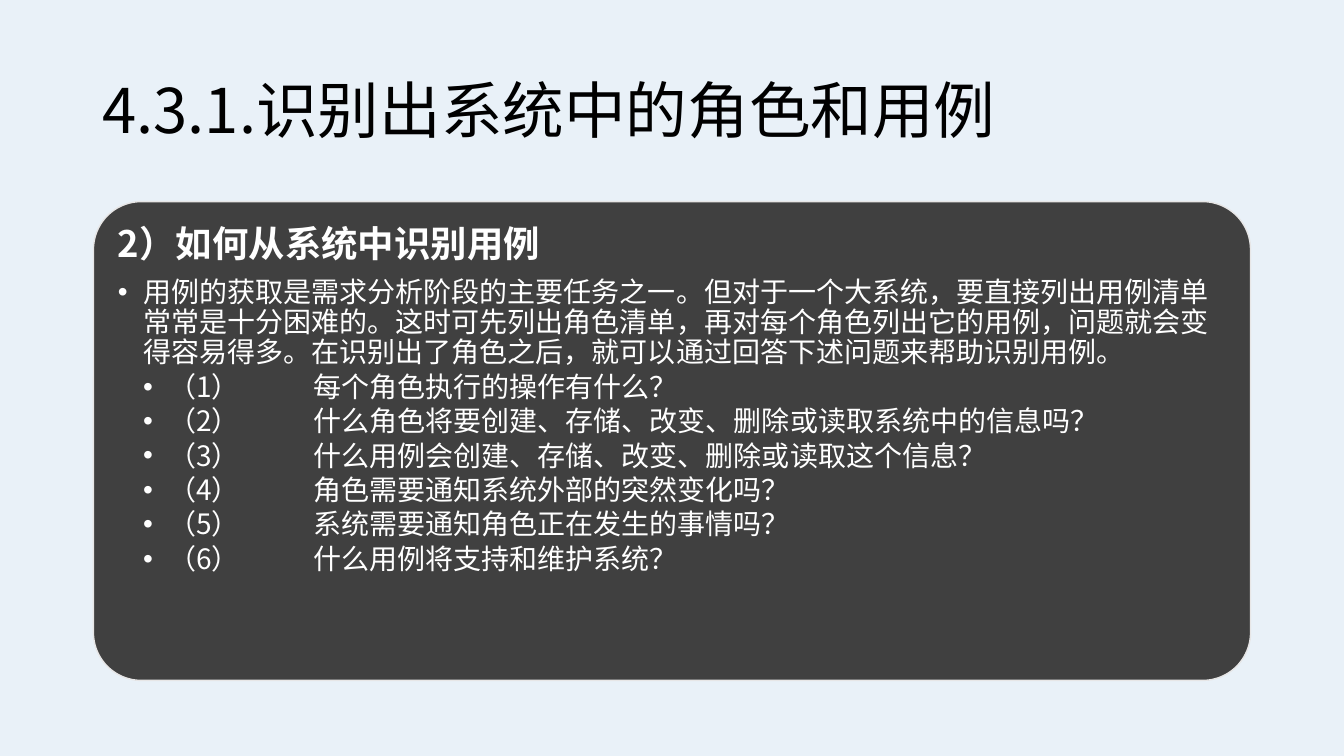
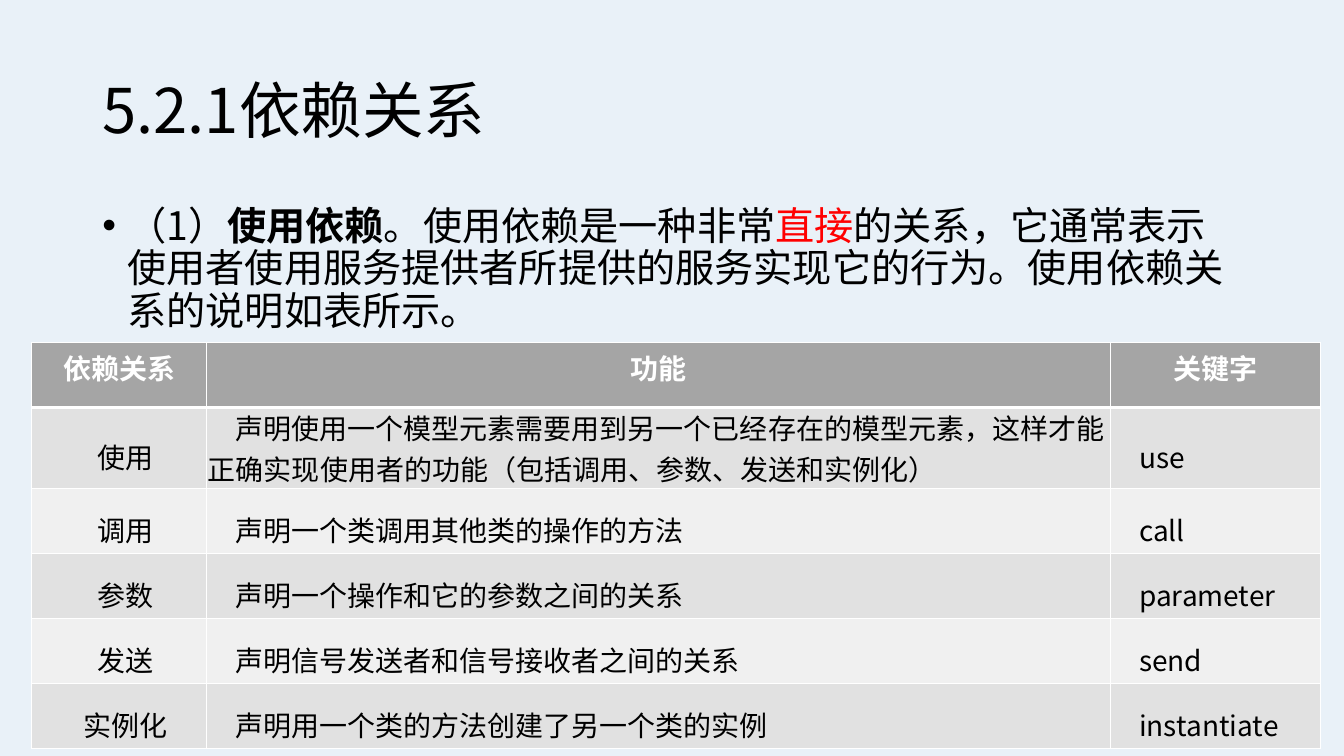
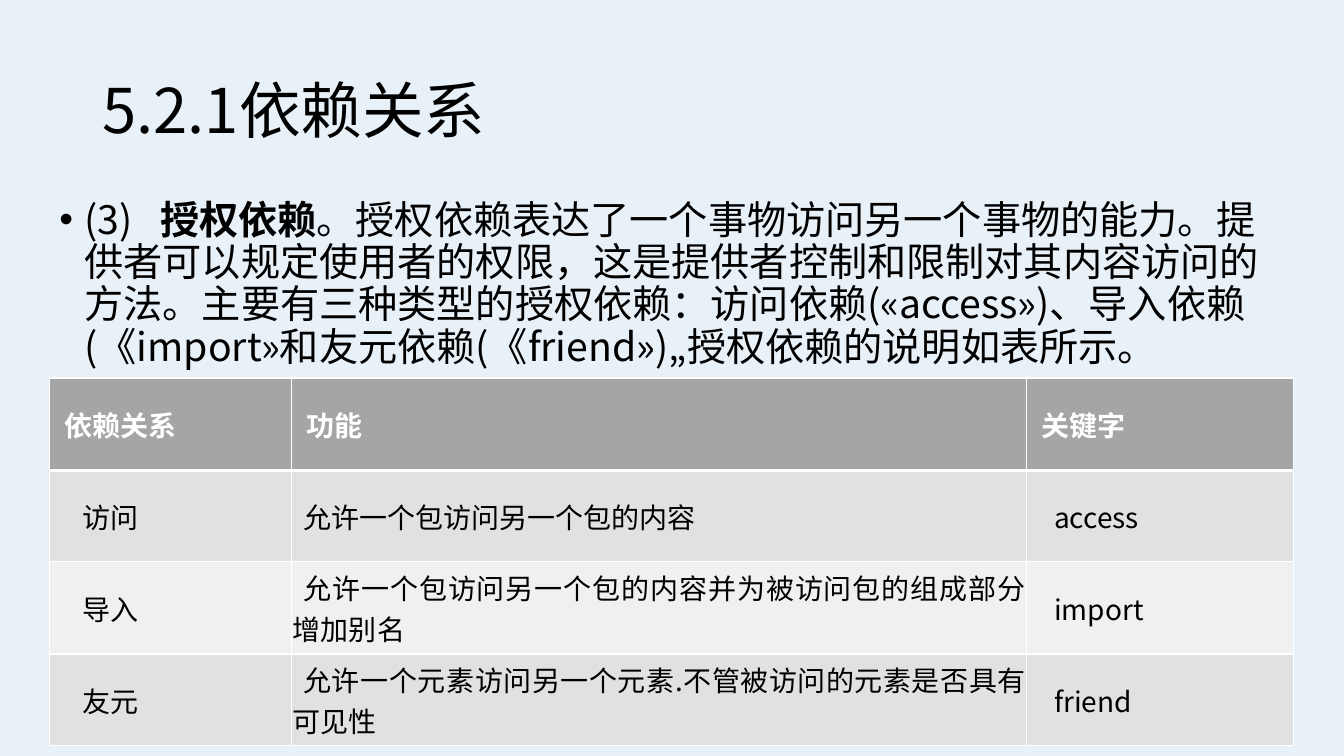
"""Builds three slides on use cases and dependency relations."""
from dataclasses import dataclass

from lxml import etree
from pptx import Presentation
from pptx import util as u
from pptx.dml.color import RGBColor
from pptx.enum import shapes, text
from pptx.oxml import ns

PX = 9525
FACE = "Noto Sans CJK SC"
TIGHT = 0.9
SKY = RGBColor(0xE9, 0xF1, 0xF8)
BLACK = RGBColor(0, 0, 0)
WHITE = RGBColor(255, 255, 255)
RED = RGBColor(255, 0, 0)
DARK = RGBColor(0x40, 0x40, 0x40)
EDGE = RGBColor(0xE7, 0xE6, 0xE6)
HEAD = RGBColor(0xA5, 0xA5, 0xA5)
BANDS = (RGBColor(0xE1, 0xE1, 0xE1), RGBColor(0xF0, 0xF0, 0xF0))
LEFT, MID, FULL = text.PP_ALIGN.LEFT, text.PP_ALIGN.CENTER, text.PP_ALIGN.JUSTIFY


@dataclass
class Run:
    text: str
    bold: bool = False
    color: RGBColor = BLACK


@dataclass
class Para:
    runs: list[Run]
    size: int
    lines: float = 1.0
    after: int = 0
    left: int = 0
    first: int = 0
    bullet: bool = False
    tab: int = 0
    align: text.PP_ALIGN = LEFT


@dataclass
class Col:
    width: int
    first: int
    align: text.PP_ALIGN = LEFT


@dataclass
class Grid:
    left: int
    top: int
    heights: list[int]
    cols: list[Col]
    rows: list[tuple[str, str, str]]
    lines: float
    head: Col
    flush: bool


def px(n: int) -> u.Emu:
    """Turn px into EMU."""
    return u.Emu(n * PX)


def add(node, tag: str, **attrs: str):
    """Append a drawing element to a node."""
    return etree.SubElement(node, ns.qn(tag), attrs)


def write(frame, paras: list[Para]) -> None:
    """Fill a text frame with paragraphs."""
    frame.word_wrap = True
    for i, item in enumerate(paras):
        para = frame.paragraphs[0] if i == 0 else frame.add_paragraph()
        props = para._p.get_or_add_pPr()
        props.set("marL", str(px(item.left)))
        props.set("indent", str(px(item.first)))
        if item.bullet:
            add(props, "a:buFont", typeface="Arial")
            add(props, "a:buChar", char="•")
        if item.tab:
            stops = add(props, "a:tabLst")
            add(stops, "a:tab", pos=str(px(item.tab)), algn="l")
        para.alignment = item.align
        para.line_spacing = item.lines
        para.space_after = u.Pt(item.after)
        for part in item.runs:
            run = para.add_run()
            run.text = part.text
            run.font.size = u.Pt(item.size)
            run.font.bold = part.bold
            run.font.color.rgb = part.color
            run.font.name = FACE
            add(run._r.get_or_add_rPr(), "a:ea", typeface=FACE)


def box(slide, left: int, top: int, width: int, height: int, paras: list[Para]):
    """Add a text box and return its frame."""
    frame = slide.shapes.add_textbox(*map(px, (left, top, width, height))).text_frame
    write(frame, paras)
    return frame


def start(deck, title: str):
    """Add a blank slide with its title."""
    slide = deck.slides.add_slide(deck.slide_layouts[6])
    frame = box(slide, 88, 39, 1104, 139, [Para([Run(title)], 44, TIGHT)])
    frame.vertical_anchor = text.MSO_ANCHOR.MIDDLE
    return slide


def card(slide, paras: list[Para]) -> None:
    """Add the dark rounded card with its text."""
    shape = slide.shapes.add_shape(
        shapes.MSO_SHAPE.ROUNDED_RECTANGLE, *map(px, (89, 192, 1102, 456)))
    shape.adjustments[0] = 0.1
    shape.shadow.inherit = False
    shape.fill.solid()
    shape.fill.fore_color.rgb = DARK
    shape.line.color.rgb = EDGE
    shape.line.width = u.Pt(1)
    frame = shape.text_frame
    frame.vertical_anchor = text.MSO_ANCHOR.TOP
    frame.margin_left = frame.margin_right = px(10)
    frame.margin_top = frame.margin_bottom = px(10)
    write(frame, paras)


def edge(cell, top: int, base: int) -> None:
    """Draw white cell borders."""
    props = cell._tc.get_or_add_tcPr()
    for side, width in (("L", 1), ("R", 1), ("T", top), ("B", base)):
        line = add(props, f"a:ln{side}", w=str(u.Pt(width)))
        add(add(line, "a:solidFill"), "a:srgbClr", val=str(WHITE))


def table(slide, grid: Grid) -> None:
    """Add a banded table with a heading row."""
    size = (sum(c.width for c in grid.cols), sum(grid.heights))
    body = slide.shapes.add_table(
        len(grid.rows), len(grid.cols),
        *map(px, (grid.left, grid.top, *size))).table
    for i, col in enumerate(grid.cols):
        body.columns[i].width = px(col.width)
    for y, row in enumerate(grid.rows):
        body.rows[y].height = px(grid.heights[y])
        for x, label in enumerate(row):
            cell = body.cell(y, x)
            edge(cell, 3 if y == 1 else 1, 3 if y == 0 else 1)
            cell.fill.solid()
            cell.fill.fore_color.rgb = BANDS[(y - 1) % 2] if y else HEAD
            if y or grid.flush:
                cell.vertical_anchor = text.MSO_ANCHOR.MIDDLE
                cell.margin_left = cell.margin_right = px(1)
                cell.margin_top = cell.margin_bottom = 0
            style = grid.cols[x] if y else grid.head
            lines = grid.lines if y and len(label) < 40 else 1.0
            run = Run(label, not y, BLACK if y else WHITE)
            write(cell.text_frame, [
                Para([run], 20, lines, first=style.first, align=style.align)])


def point(runs: list[Run], tab: int = 0) -> Para:
    """Make a large bulleted paragraph."""
    return Para(runs, 28, TIGHT, left=24, first=-24, bullet=True, tab=tab)


ASKS = (
    "每个角色执行的操作有什么？",
    "什么角色将要创建、存储、改变、删除或读取系统中的信息吗？",
    "什么用例会创建、存储、改变、删除或读取这个信息？",
    "角色需要通知系统外部的突然变化吗？",
    "系统需要通知角色正在发生的事情吗？",
    "什么用例将支持和维护系统？",
)
LEAD = (
    "用例的获取是需求分析阶段的主要任务之一。但对于一个大系统，要直接列出用例清单"
    "常常是十分困难的。这时可先列出角色清单，再对每个角色列出它的用例，问题就会变"
    "得容易得多。在识别出了角色之后，就可以通过回答下述问题来帮助识别用例。"
)
USES = [
    Run("（1）"), Run("使用依赖", True), Run("。使用依赖是一种非常"),
    Run("直接", color=RED),
    Run("的关系，它通常表示使用者使用服务提供者所提供的服务实现它的行为。"
        "使用依赖关系的说明如表所示。"),
]
GRANTS = [
    Run("(3)\t"), Run("授权依赖", True),
    Run("。授权依赖表达了一个事物访问另一个事物的能力。提供者可以规定使用者的权限，"
        "这是提供者控制和限制对其内容访问的方法。主要有三种类型的授权依赖："
        "访问依赖(«access»)、导入依赖(《import»和友元依赖(《friend»)„"
        "授权依赖的说明如表所示。"),
]
NAMES = ("依赖关系", "功能", "关键字")
USAGE = Grid(
    30, 326, [62, 77, 62, 62, 62, 62],
    [Col(167, 13, MID), Col(861, 26), Col(200, 26)],
    [NAMES,
     ("使用", "声明使用一个模型元素需要用到另一个已经存在的模型元素，这样才能"
      "正确实现使用者的功能（包括调用、参数、发送和实例化）", "use"),
     ("调用", "声明一个类调用其他类的操作的方法", "call"),
     ("参数", "声明一个操作和它的参数之间的关系", "parameter"),
     ("发送", "声明信号发送者和信号接收者之间的关系", "send"),
     ("实例化", "声明用一个类的方法创建了另一个类的实例", "instantiate")],
    1.42, Col(0, 0, MID), False)
ACCESS = Grid(
    47, 360, [88, 87, 88, 87],
    [Col(231, 31), Col(700, 10, FULL), Col(254, 25)],
    [NAMES,
     ("访问", "允许一个包访问另一个包的内容", "access"),
     ("导入", "允许一个包访问另一个包的内容并为被访问包的组成部分增加别名", "import"),
     ("友元", "允许一个元素访问另一个元素.不管被访问的元素是否具有可见性", "friend")],
    1.0, Col(0, 13), True)


def main() -> None:
    """Build and save the deck."""
    deck = Presentation()
    deck.slide_width, deck.slide_height = px(1280), px(720)
    back = deck.slide_master.background.fill
    back.solid()
    back.fore_color.rgb = SKY

    slide = start(deck, "4.3.1.识别出系统中的角色和用例")
    paras = [
        Para([Run("2）如何从系统中识别用例", True, WHITE)], 26, TIGHT, 9),
        Para([Run(LEAD, color=WHITE)], 20, TIGHT, 3, 24, -24, True),
    ]
    paras += [
        Para([Run(f"（{i}）\t{ask}", color=WHITE)], 20, TIGHT, 3, 48, -24, True, 186)
        for i, ask in enumerate(ASKS, 1)
    ]
    card(slide, paras)

    slide = start(deck, "5.2.1依赖关系")
    box(slide, 88, 192, 1104, 457, [point(USES)])
    table(slide, USAGE)

    slide = start(deck, "5.2.1依赖关系")
    box(slide, 47, 186, 1185, 457, [point(GRANTS, 96)])
    table(slide, ACCESS)
    deck.save("out.pptx")


if __name__ == "__main__":
    main()
